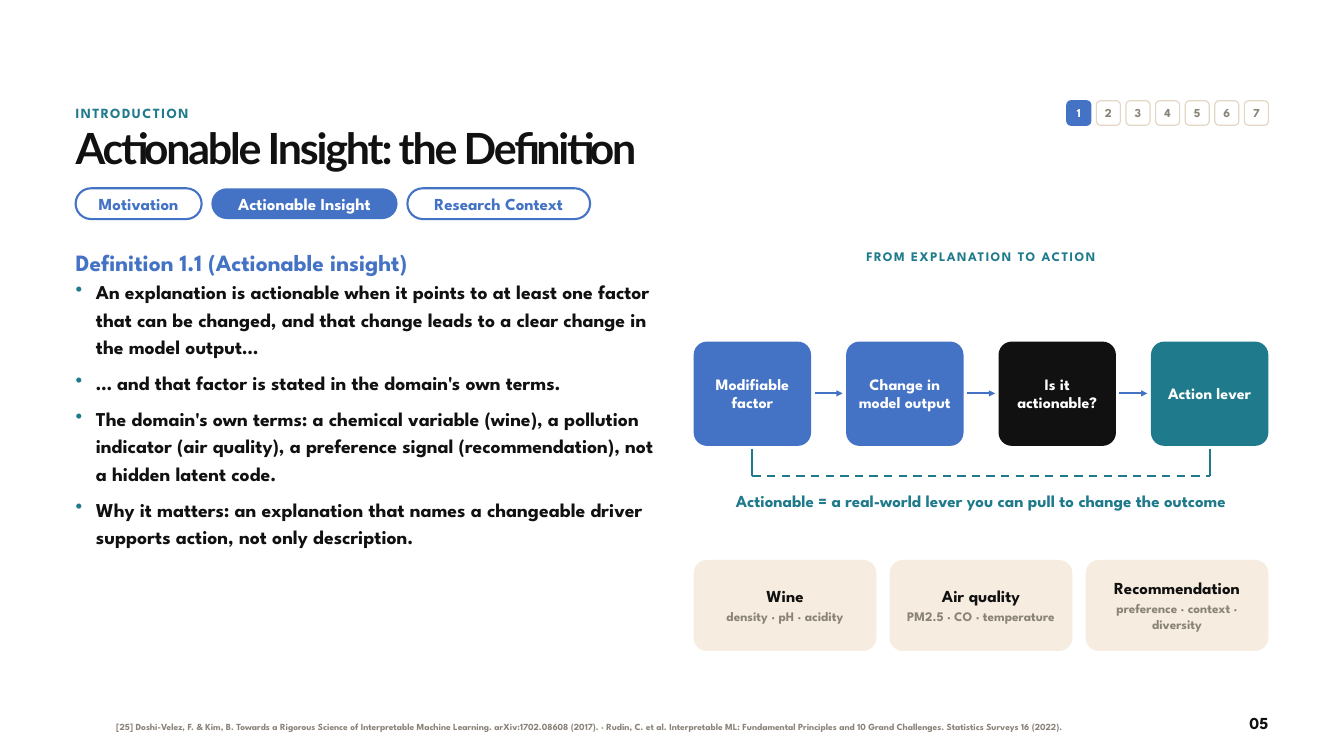
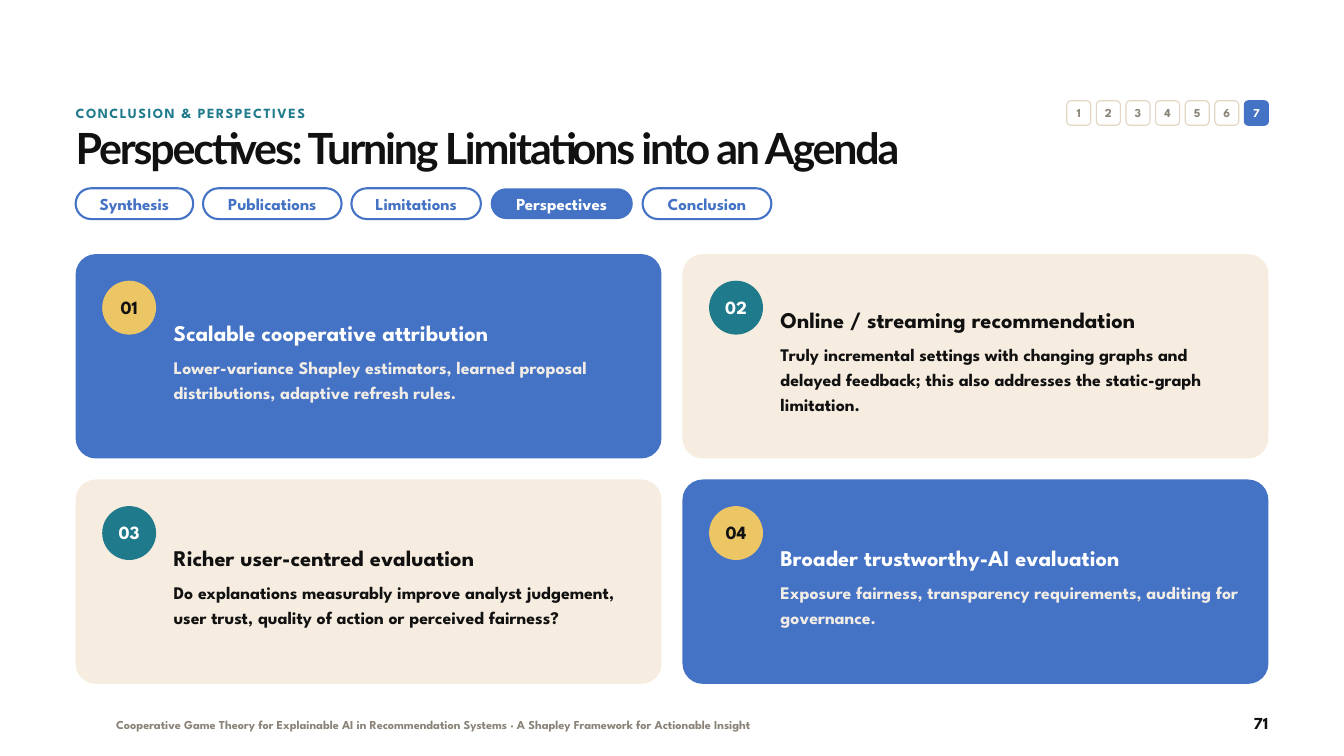
from dataclasses import dataclass, replace
from typing import NamedTuple

from lxml import etree
from pptx import Presentation
from pptx.dml.color import RGBColor
from pptx.enum.dml import MSO_LINE
from pptx.enum.shapes import MSO_CONNECTOR, MSO_SHAPE
from pptx.enum.text import MSO_ANCHOR, MSO_AUTO_SIZE, PP_ALIGN
from pptx.oxml.ns import qn
from pptx.presentation import Presentation as Deck
from pptx.shapes.autoshape import Shape
from pptx.slide import Slide
from pptx.text.text import TextFrame
from pptx.util import Emu, Pt

LEFT, CENTER, RIGHT = PP_ALIGN.LEFT, PP_ALIGN.CENTER, PP_ALIGN.RIGHT
TOP, MIDDLE = MSO_ANCHOR.TOP, MSO_ANCHOR.MIDDLE
ROUNDED, OVAL = MSO_SHAPE.ROUNDED_RECTANGLE, MSO_SHAPE.OVAL
STRAIGHT, DASH = MSO_CONNECTOR.STRAIGHT, MSO_LINE.DASH

BLUE, TEAL, YELLOW = "4472C4", "1F7A8C", "ECC665"
INK, GREY, WHITE = "111111", "8A8378", "FFFFFF"
CREAM, SAND, PALE = "F6ECDF", "E3D6C4", "F1EDE6"

EMU_PER_PX = 9525
PAGE_WIDTH, PAGE_HEIGHT = 1920, 1080
MARGIN, EDGE = 108, 1812
DIAGRAM_LEFT = 991
SECTION_COUNT = 7


class Box(NamedTuple):
    left: float
    top: float
    width: float
    height: float


class Outline(NamedTuple):
    color: str
    width: float


@dataclass(frozen=True)
class TextStyle:
    size: float
    color: str
    leading: float
    align: PP_ALIGN = LEFT
    before: float = 0
    tracking: int = 0
    bullet: str = ""
    font: str = "League Spartan"


class Line(NamedTuple):
    text: str
    style: TextStyle


class Tab(NamedTuple):
    label: str
    width: int


@dataclass(frozen=True)
class PageFrame:
    section: int
    kicker: str
    title: str
    tabs: list[Tab]
    active_tab: str
    footer: Line
    footer_box: Box
    number: str


class Step(NamedTuple):
    label: str
    fill: str


class Domain(NamedTuple):
    name: str
    factors: str


class Agenda(NamedTuple):
    heading: str
    detail: str


class CardTheme(NamedTuple):
    fill: str
    heading: str
    detail: str
    badge: str
    badge_text: str


KICKER = TextStyle(15, TEAL, 20, tracking=160)
TITLE = TextStyle(46, INK, 50.6, tracking=-230, font="Lato")
NUMBER = TextStyle(18, INK, 22, RIGHT)
CHIP = TextStyle(13, GREY, 15, CENTER)
TAB = TextStyle(18, BLUE, 21.6, CENTER)
DEFINITION = TextStyle(25, BLUE, 31.2)
POINT = TextStyle(21, INK, 29.4, before=9, bullet=TEAL)
CAPTION = TextStyle(14, TEAL, 18, CENTER, tracking=160)
STEP = TextStyle(17, WHITE, 19.6, CENTER)
TAKEAWAY = TextStyle(18, TEAL, 23, CENTER)
DOMAIN = TextStyle(18, INK, 20.7, CENTER)
FACTORS = TextStyle(14, GREY, 16.8, CENTER, before=3)
BADGE = TextStyle(20, INK, 22, CENTER)
HEADING = TextStyle(24, INK, 30)
DETAIL = TextStyle(19, INK, 26.6, before=8)

SOLID_CARD = CardTheme(BLUE, WHITE, PALE, YELLOW, INK)
LIGHT_CARD = CardTheme(CREAM, INK, INK, TEAL, WHITE)


# Helpers
def px(length: float) -> Emu:
    return Emu(round(length * EMU_PER_PX))


def rgb(color: str) -> RGBColor:
    return RGBColor.from_string(color)


def columns(left: float, right: float, count: int, gap: float, top: float, height: float) -> list[Box]:
    width = (right - left - gap * (count - 1)) / count
    return [Box(left + index * (width + gap), top, width, height) for index in range(count)]


def write(frame: TextFrame, lines: list[Line], anchor: MSO_ANCHOR = TOP, inset: tuple[int, int] = (0, 0)) -> None:
    frame.word_wrap = True
    frame.auto_size = MSO_AUTO_SIZE.NONE
    frame.vertical_anchor = anchor
    frame.margin_left = frame.margin_right = px(inset[0])
    frame.margin_top = frame.margin_bottom = px(inset[1])
    frame.text = "\n".join(line.text for line in lines)
    for para, (_, style) in zip(frame.paragraphs, lines):
        if style.bullet:
            properties = para._p.get_or_add_pPr()
            properties.set("marL", str(px(29)))
            properties.set("indent", str(px(-29)))
            bullet_color = etree.SubElement(properties, qn("a:buClr"))
            etree.SubElement(bullet_color, qn("a:srgbClr"), val=style.bullet)
            etree.SubElement(properties, qn("a:buChar"), char="•")
        para.alignment = style.align
        para.line_spacing = Pt(style.leading)
        para.space_before = Pt(style.before)
        span = para.runs[0]
        span.font.name = style.font
        span.font.size = Pt(style.size)
        span.font.bold = True
        span.font.color.rgb = rgb(style.color)
        if style.tracking:
            span._r.get_or_add_rPr().set("spc", str(style.tracking))


def add_text(page: Slide, box: Box, lines: list[Line], anchor: MSO_ANCHOR = TOP) -> None:
    write(page.shapes.add_textbox(*map(px, box)).text_frame, lines, anchor)


def add_panel(page: Slide, box: Box, fill: str = "", outline: Outline | None = None,
              radius: float = 19, kind: MSO_SHAPE = ROUNDED) -> Shape:
    panel = page.shapes.add_shape(kind, *map(px, box))
    panel.shadow.inherit = False
    if kind == ROUNDED:
        panel.adjustments[0] = radius / min(box.width, box.height)
    if fill:
        panel.fill.solid()
        panel.fill.fore_color.rgb = rgb(fill)
    else:
        panel.fill.background()
    if outline:
        panel.line.color.rgb = rgb(outline.color)
        panel.line.width = Pt(outline.width)
    else:
        panel.line.fill.background()
    return panel


def add_line(page: Slide, start: tuple[float, float], end: tuple[float, float], color: str,
             dashed: bool = False, arrow: bool = False) -> None:
    connector = page.shapes.add_connector(STRAIGHT, *map(px, (*start, *end)))
    connector.line.color.rgb = rgb(color)
    connector.line.width = Pt(2.25)
    if dashed:
        connector.line.dash_style = DASH
    properties = connector._element.spPr
    if arrow:
        etree.SubElement(properties.find(qn("a:ln")), qn("a:tailEnd"), type="triangle")
    etree.SubElement(properties, qn("a:effectLst"))


# Shared page furniture
def add_page(deck: Deck, frame: PageFrame) -> Slide:
    page = deck.slides.add_slide(deck.slide_layouts.get_by_name("Title Only"))
    title = page.shapes.title
    title.left, title.top, title.width, title.height = map(px, Box(MARGIN, 180, EDGE - MARGIN, 77))
    write(title.text_frame, [Line(frame.title, TITLE)])
    add_text(page, Box(MARGIN, 146, 1358, 35), [Line(frame.kicker, KICKER)])

    # Section tracker
    for section, box in enumerate(columns(1524, EDGE, SECTION_COUNT, 8, 144, 35), start=1):
        current = section == frame.section
        chip = add_panel(page, box, BLUE if current else WHITE, Outline(BLUE if current else SAND, 1.25), 6)
        write(chip.text_frame, [Line(str(section), replace(CHIP, color=WHITE if current else GREY))], MIDDLE)

    # Tabs
    left = MARGIN
    for label, width in frame.tabs:
        active = label == frame.active_tab
        pill = add_panel(page, Box(left, 269, width, 44), BLUE if active else "",
                         None if active else Outline(BLUE, 2.25), 22)
        write(pill.text_frame, [Line(label, replace(TAB, color=WHITE if active else BLUE))], MIDDLE, (5, 0))
        left += width + 14

    # Footer
    add_text(page, frame.footer_box, [frame.footer], MIDDLE)
    add_text(page, Box(EDGE - 115, 1018, 115, 35), [Line(frame.number, NUMBER)])
    return page


# Definition slide
def build_definition(deck: Deck) -> None:
    page = add_page(deck, PageFrame(
        1, "INTRODUCTION", "Actionable Insight: the Definition",
        [Tab("Motivation", 180), Tab("Actionable Insight", 266), Tab("Research Context", 261)],
        "Actionable Insight",
        Line("[25] Doshi-Velez, F. & Kim, B. Towards a Rigorous Science of Interpretable Machine Learning. "
             "arXiv:1702.08608 (2017). · Rudin, C. et al. Interpretable ML: Fundamental Principles and "
             "10 Grand Challenges. Statistics Surveys 16 (2022).", TextStyle(10, GREY, 12)),
        Box(166, 1008, 1522, 60), "05"))
    add_text(page, Box(MARGIN, 353, 826, 624), [
        Line("Definition 1.1 (Actionable insight)", DEFINITION),
        Line("An explanation is actionable when it points to at least one factor that can be changed, "
             "and that change leads to a clear change in the model output…", replace(POINT, before=0)),
        Line("… and that factor is stated in the domain's own terms.", POINT),
        Line("The domain's own terms: a chemical variable (wine), a pollution indicator (air quality), "
             "a preference signal (recommendation), not a hidden latent code.", POINT),
        Line("Why it matters: an explanation that names a changeable driver supports action, "
             "not only description.", POINT),
    ])

    # Flow from explanation to action
    width = EDGE - DIAGRAM_LEFT
    add_text(page, Box(DIAGRAM_LEFT, 353, width, 38), [Line("FROM EXPLANATION TO ACTION", CAPTION)])
    steps = [Step("Modifiable factor", BLUE), Step("Change in model output", BLUE),
             Step("Is it actionable?", INK), Step("Action lever", TEAL)]
    boxes = columns(DIAGRAM_LEFT, EDGE, len(steps), 50, 488, 149)
    for step, box in zip(steps, boxes):
        panel = add_panel(page, box, step.fill)
        write(panel.text_frame, [Line(step.label, STEP)], MIDDLE, (10, 5))
    for box, following in zip(boxes, boxes[1:]):
        add_line(page, (box.left + box.width + 5, 562), (following.left - 5, 562), BLUE, arrow=True)

    # Bracket joining the first and last steps
    first, last = (box.left + box.width / 2 for box in (boxes[0], boxes[-1]))
    for center in (first, last):
        add_line(page, (center, 641), (center, 680), TEAL)
    add_line(page, (first, 680), (last, 680), TEAL, dashed=True)
    add_text(page, Box(DIAGRAM_LEFT, 699, width, 77),
             [Line("Actionable = a real-world lever you can pull to change the outcome", TAKEAWAY)])

    # Domain examples
    domains = [Domain("Wine", "density · pH · acidity"),
               Domain("Air quality", "PM2.5 · CO · temperature"),
               Domain("Recommendation", "preference · context · diversity")]
    for domain, box in zip(domains, columns(DIAGRAM_LEFT, EDGE, len(domains), 19, 800, 130)):
        panel = add_panel(page, box, CREAM)
        write(panel.text_frame, [Line(domain.name, DOMAIN), Line(domain.factors, FACTORS)], MIDDLE, (10, 5))


# Perspectives slide
def build_perspectives(deck: Deck) -> None:
    page = add_page(deck, PageFrame(
        7, "CONCLUSION & PERSPECTIVES", "Perspectives: Turning Limitations into an Agenda",
        [Tab("Synthesis", 168), Tab("Publications", 198), Tab("Limitations", 185),
         Tab("Perspectives", 203), Tab("Conclusion", 184)],
        "Perspectives",
        Line("Cooperative Game Theory for Explainable AI in Recommendation Systems · "
             "A Shapley Framework for Actionable Insight", TextStyle(13, GREY, 16)),
        Box(166, 1020, 1344, 29), "71"))
    agenda = [
        Agenda("Scalable cooperative attribution",
               "Lower-variance Shapley estimators, learned proposal distributions, adaptive refresh rules."),
        Agenda("Online / streaming recommendation",
               "Truly incremental settings with changing graphs and delayed feedback; "
               "this also addresses the static-graph limitation."),
        Agenda("Richer user-centred evaluation",
               "Do explanations measurably improve analyst judgement, user trust, "
               "quality of action or perceived fairness?"),
        Agenda("Broader trustworthy-AI evaluation",
               "Exposure fairness, transparency requirements, auditing for governance."),
    ]
    height, gap = 292, 30
    cards = [box for row in range(2)
             for box in columns(MARGIN, EDGE, 2, gap, 363 + row * (height + gap), height)]
    themes = [SOLID_CARD, LIGHT_CARD, LIGHT_CARD, SOLID_CARD]
    for number, (entry, card, theme) in enumerate(zip(agenda, cards, themes), start=1):
        add_panel(page, card, theme.fill, radius=29)
        badge = add_panel(page, Box(card.left + 38, card.top + 38, 77, 77), theme.badge, kind=OVAL)
        write(badge.text_frame, [Line(f"{number:02}", replace(BADGE, color=theme.badge_text))], MIDDLE)
        add_text(page, Box(card.left + 140, card.top + 34, 660, 235),
                 [Line(entry.heading, replace(HEADING, color=theme.heading)),
                  Line(entry.detail, replace(DETAIL, color=theme.detail))], MIDDLE)


def main() -> None:
    deck = Presentation()
    deck.slide_width, deck.slide_height = px(PAGE_WIDTH), px(PAGE_HEIGHT)
    build_definition(deck)
    build_perspectives(deck)
    deck.save("out.pptx")


if __name__ == "__main__":
    main()
